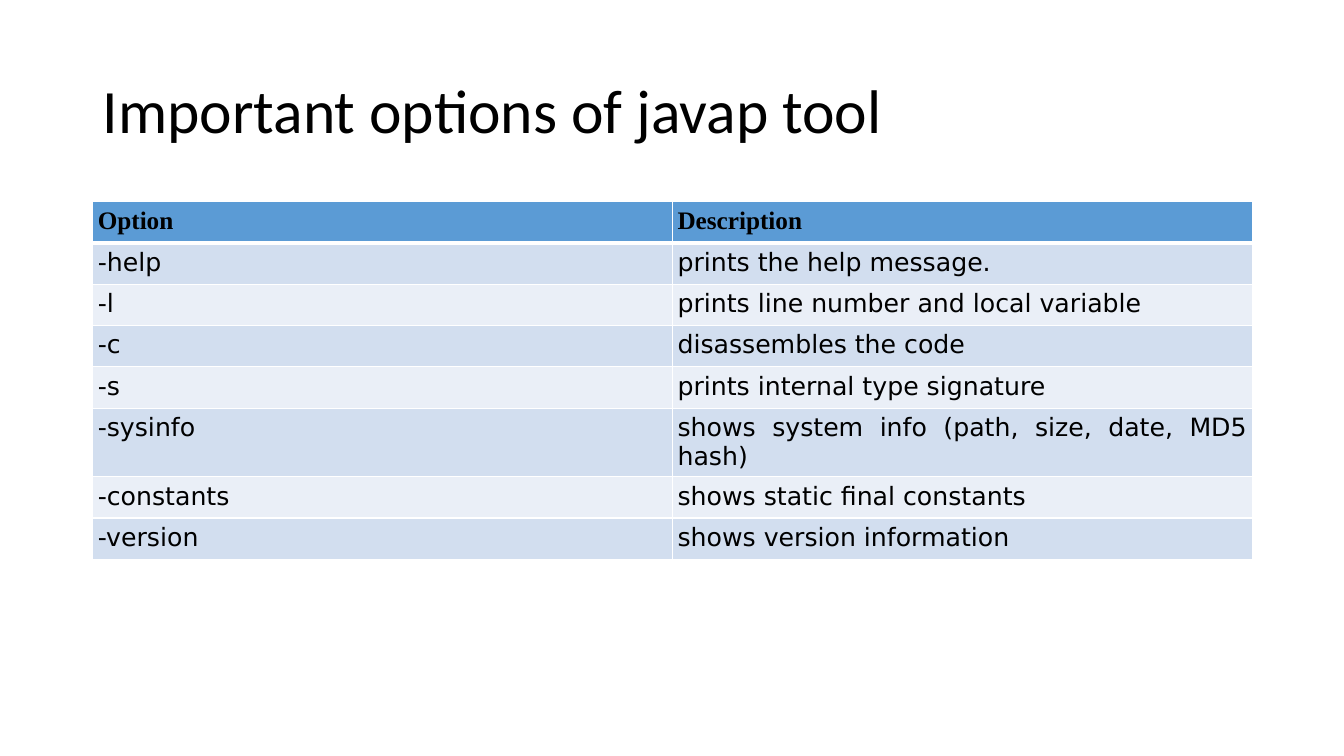
from lxml import etree
from pptx import Presentation
from pptx.dml.color import RGBColor
from pptx.enum.text import MSO_ANCHOR, PP_ALIGN
from pptx.oxml.ns import qn
from pptx.util import Inches, Pt

TITLE = "Important options of javap tool"
OPTIONS = [
    ("Option", "Description"),
    ("-help", "prints the help message."),
    ("-l", "prints line number and local variable"),
    ("-c", "disassembles the code"),
    ("-s", "prints internal type signature"),
    ("-sysinfo", "shows system info (path, size, date, MD5 hash)"),
    ("-constants", "shows static final constants"),
    ("-version", "shows version information"),
]
HEADER_FILL, BAND_FILLS = "5B9BD5", ("EAEFF7", "D2DEEF")
LEFT, WIDTH, ROW_HEIGHT = 0.92, 11.5, 0.41


def color(value):
    return RGBColor.from_string(value)


def style_font(paragraph, name, size, bold=False):
    font = paragraph.runs[0].font
    font.name, font.size, font.bold = name, Pt(size), bold
    font.color.rgb = color("000000")


def add_borders(cell, bottom, top):
    properties = cell._tc.get_or_add_tcPr()
    for side, width in (("L", 1), ("R", 1), ("T", top), ("B", bottom)):
        line = etree.SubElement(properties, qn(f"a:ln{side}"), w=str(Pt(width)))
        fill = etree.SubElement(line, qn("a:solidFill"))
        etree.SubElement(fill, qn("a:srgbClr"), val="FFFFFF")


def fill_cell(cell, text, row):
    header = row == 0
    cell.margin_left = cell.margin_right = Inches(0.05)
    cell.margin_top = cell.margin_bottom = Inches(0.05)
    add_borders(cell, bottom=3 if header else 1, top=3 if row == 1 else 1)
    cell.fill.solid()
    cell.fill.fore_color.rgb = color(HEADER_FILL if header else BAND_FILLS[row % 2])
    cell.text = text
    paragraph = cell.text_frame.paragraphs[0]
    paragraph.alignment = PP_ALIGN.LEFT if header else PP_ALIGN.JUSTIFY
    style_font(paragraph, "Times New Roman" if header else "DejaVu Sans", 18, header)


prs = Presentation()
prs.slide_width, prs.slide_height = Inches(13.33), Inches(7.5)
slide = prs.slides.add_slide(prs.slide_layouts[5])

title = slide.shapes.title
title.left, title.top = Inches(LEFT), Inches(0.4)
title.width, title.height = Inches(WIDTH), Inches(1.45)
title.text_frame.text = TITLE
title.text_frame.vertical_anchor = MSO_ANCHOR.MIDDLE
heading = title.text_frame.paragraphs[0]
heading.alignment = PP_ALIGN.LEFT
heading.line_spacing = 0.9
style_font(heading, "Calibri", 44)

table = slide.shapes.add_table(
    len(OPTIONS), 2, Inches(LEFT), Inches(2),
    Inches(WIDTH), Inches(ROW_HEIGHT * len(OPTIONS)),
).table
for row, texts in enumerate(OPTIONS):
    table.rows[row].height = Inches(ROW_HEIGHT)
    for column, text in enumerate(texts):
        fill_cell(table.cell(row, column), text, row)

prs.save("out.pptx")
